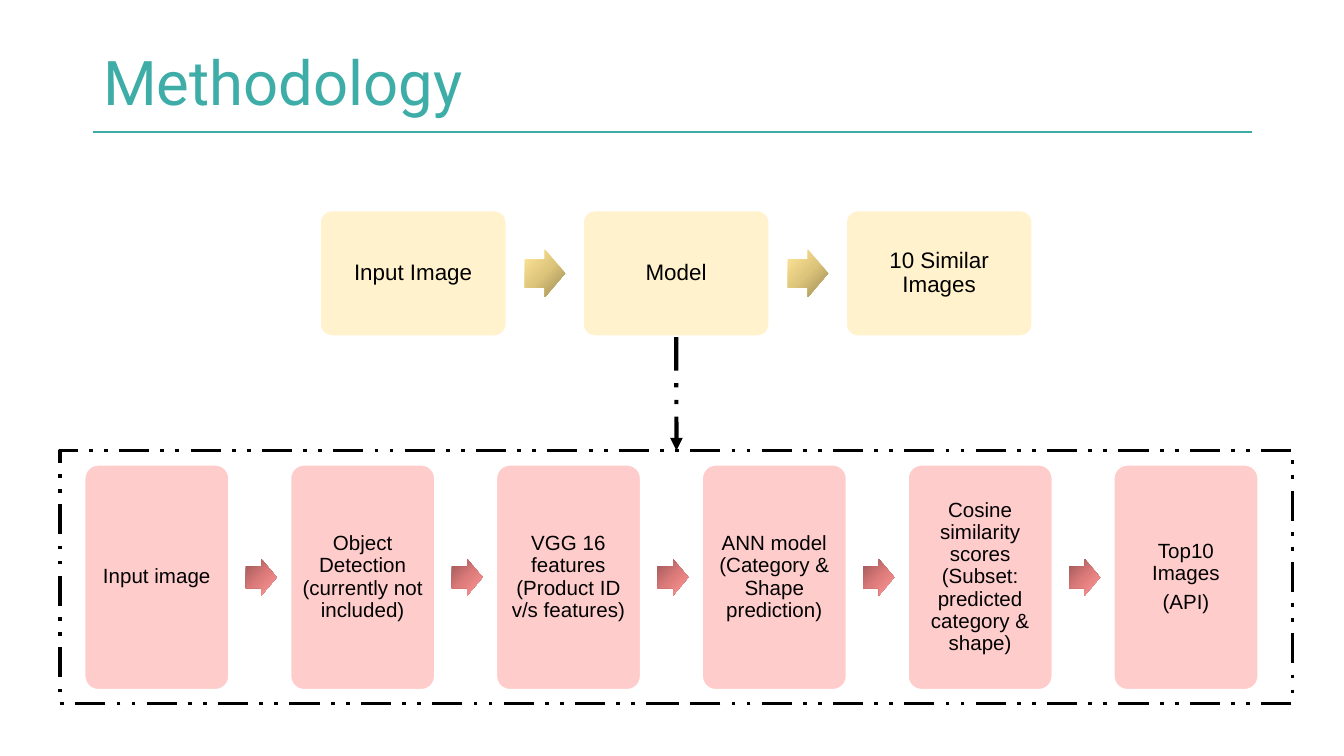
"""Build the Methodology slide with two process rows joined by an arrow."""
from pptx import Presentation
from pptx.dml.color import RGBColor
from pptx.enum.dml import MSO_LINE
from pptx.enum.shapes import MSO_CONNECTOR, MSO_SHAPE
from pptx.enum.text import MSO_ANCHOR, PP_ALIGN
from pptx.oxml import parse_xml
from pptx.oxml.ns import nsdecls, qn
from pptx.util import Cm, Pt

TEAL = RGBColor(0x3E, 0xAD, 0xA7)
RULE_TEAL = RGBColor(0x3D, 0xAC, 0xA7)
PINK = RGBColor(0xFF, 0xCC, 0xCC)
PINK_STOPS = [RGBColor(0x9C, 0x56, 0x56), RGBColor(0xDD, 0x7B, 0x7B), RGBColor(0xFF, 0x99, 0x99)]
CREAM = RGBColor(0xFF, 0xF2, 0xCC)
GOLD_STOPS = [RGBColor(0x9C, 0x8A, 0x56), RGBColor(0xDD, 0xC5, 0x7B), RGBColor(0xFF, 0xE6, 0x99)]
WHITE = RGBColor(0xFF, 0xFF, 0xFF)
BLACK = RGBColor(0x00, 0x00, 0x00)

DIAGONAL = '<a:lin ang="2700000" scaled="0"/>'
CORNER = '<a:path path="circle"><a:fillToRect l="100000" t="100000"/></a:path>'


def write_text(shape, text, frame_format, paragraph_format, font_format, color):
    frame = shape.text_frame
    frame.text = text
    targets = [(frame, frame_format)]
    for paragraph in frame.paragraphs:
        targets.append((paragraph, paragraph_format))
        for run in paragraph.runs:
            targets.append((run.font, font_format))
            run.font.color.rgb = color
    for target, values in targets:
        for name, value in values.items():
            setattr(target, name, value)


def style_line(line, color, width, dash=None):
    line.color.rgb = color
    line.width = Pt(width)
    line.dash_style = dash


presentation = Presentation()
presentation.slide_width = Cm(25.4)
presentation.slide_height = Cm(14.28)
slide = presentation.slides.add_slide(presentation.slide_layouts[6])

title_rule = slide.shapes.add_connector(MSO_CONNECTOR.STRAIGHT, Cm(1.76), Cm(2.49), Cm(23.67), Cm(2.49))
style_line(title_rule.line, RULE_TEAL, 0.75)

title = slide.shapes.add_textbox(Cm(1.76), Cm(0.76), Cm(19.69), Cm(1.73))
title_frame = {
    "word_wrap": True, "vertical_anchor": MSO_ANCHOR.MIDDLE,
    "margin_left": Cm(0.19), "margin_right": Cm(0.19),
    "margin_top": Cm(0.1), "margin_bottom": Cm(0.1),
}
write_text(title, "Methodology", title_frame, {"line_spacing": 0.9},
           {"name": "Roboto", "size": Pt(33)}, TEAL)

rows = [
    {
        "steps": [
            "Input image",
            "Object Detection (currently not included)",
            "VGG 16 features (Product ID v/s features)",
            "ANN model (Category & Shape prediction)",
            "Cosine similarity scores\v(Subset: predicted category & shape)",
            "Top10 Images\n(API)",
        ],
        "left": 1.58, "top": 8.76, "width": 2.77, "height": 4.29, "pitch": 3.89,
        "arrow_offset": 3.07, "arrow_width": 0.58, "arrow_height": 0.69,
        "fill": PINK, "stops": PINK_STOPS, "direction": DIAGONAL, "size": 11,
    },
    {
        "steps": ["Input Image", "Model", "10 Similar Images"],
        "left": 6.03, "top": 3.96, "width": 3.56, "height": 2.41, "pitch": 4.97,
        "arrow_offset": 3.89, "arrow_width": 0.76, "arrow_height": 0.89,
        "fill": CREAM, "stops": GOLD_STOPS, "direction": CORNER, "size": 12,
    },
]
step_frame = {"word_wrap": True, "vertical_anchor": MSO_ANCHOR.MIDDLE}
for side in ("left", "right", "top", "bottom"):
    step_frame[f"margin_{side}"] = Cm(0.13)
step_paragraph = {"alignment": PP_ALIGN.CENTER, "line_spacing": 0.9, "space_after": Pt(4)}

boxes = {}
for row in rows:
    group = slide.shapes.add_group_shape()
    for index, step in enumerate(row["steps"]):
        left = row["left"] + index * row["pitch"]
        box = group.shapes.add_shape(MSO_SHAPE.ROUNDED_RECTANGLE, Cm(left), Cm(row["top"]),
                                     Cm(row["width"]), Cm(row["height"]))
        box.adjustments[0] = 0.1
        box.shadow.inherit = False
        box.fill.solid()
        box.fill.fore_color.rgb = row["fill"]
        style_line(box.line, WHITE, 2)
        write_text(box, step, step_frame, step_paragraph,
                   {"name": "Arial", "size": Pt(row["size"])}, BLACK)
        boxes[step] = box
        if index == len(row["steps"]) - 1:
            continue
        arrow_top = row["top"] + (row["height"] - row["arrow_height"]) / 2
        arrow = group.shapes.add_shape(MSO_SHAPE.RIGHT_ARROW, Cm(left + row["arrow_offset"]), Cm(arrow_top),
                                       Cm(row["arrow_width"]), Cm(row["arrow_height"]))
        arrow.adjustments[0] = 0.6
        arrow.adjustments[1] = 0.5
        arrow.shadow.inherit = False
        arrow.line.fill.background()
        arrow.fill.gradient()
        stops = "".join(f'<a:gs pos="{position}"><a:srgbClr val="{color}"/></a:gs>'
                        for position, color in zip((0, 50000, 100000), row["stops"]))
        gradient = parse_xml(f'<a:gradFill {nsdecls("a")} rotWithShape="1"><a:gsLst>{stops}</a:gsLst>'
                             f'{row["direction"]}</a:gradFill>')
        properties = arrow.element.spPr
        properties.replace(properties.find(qn("a:gradFill")), gradient)

detail_frame = slide.shapes.add_shape(MSO_SHAPE.RECTANGLE, Cm(1.14), Cm(8.51), Cm(23.29), Cm(4.78))
detail_frame.shadow.inherit = False
detail_frame.fill.background()
style_line(detail_frame.line, BLACK, 2, MSO_LINE.DASH_DOT_DOT)

model_link = slide.shapes.add_connector(MSO_CONNECTOR.STRAIGHT, Cm(12.78), Cm(6.37), Cm(12.78), Cm(8.51))
model_link.begin_connect(boxes["Model"], 2)
model_link.end_connect(detail_frame, 0)
style_line(model_link.line, BLACK, 2.25, MSO_LINE.DASH_DOT_DOT)
model_link.element.spPr.find(qn("a:ln")).append(parse_xml(f'<a:tailEnd {nsdecls("a")} type="triangle"/>'))

for connector in (title_rule, model_link):
    connector.element.spPr.append(parse_xml(f'<a:effectLst {nsdecls("a")}/>'))

presentation.save("out.pptx")
